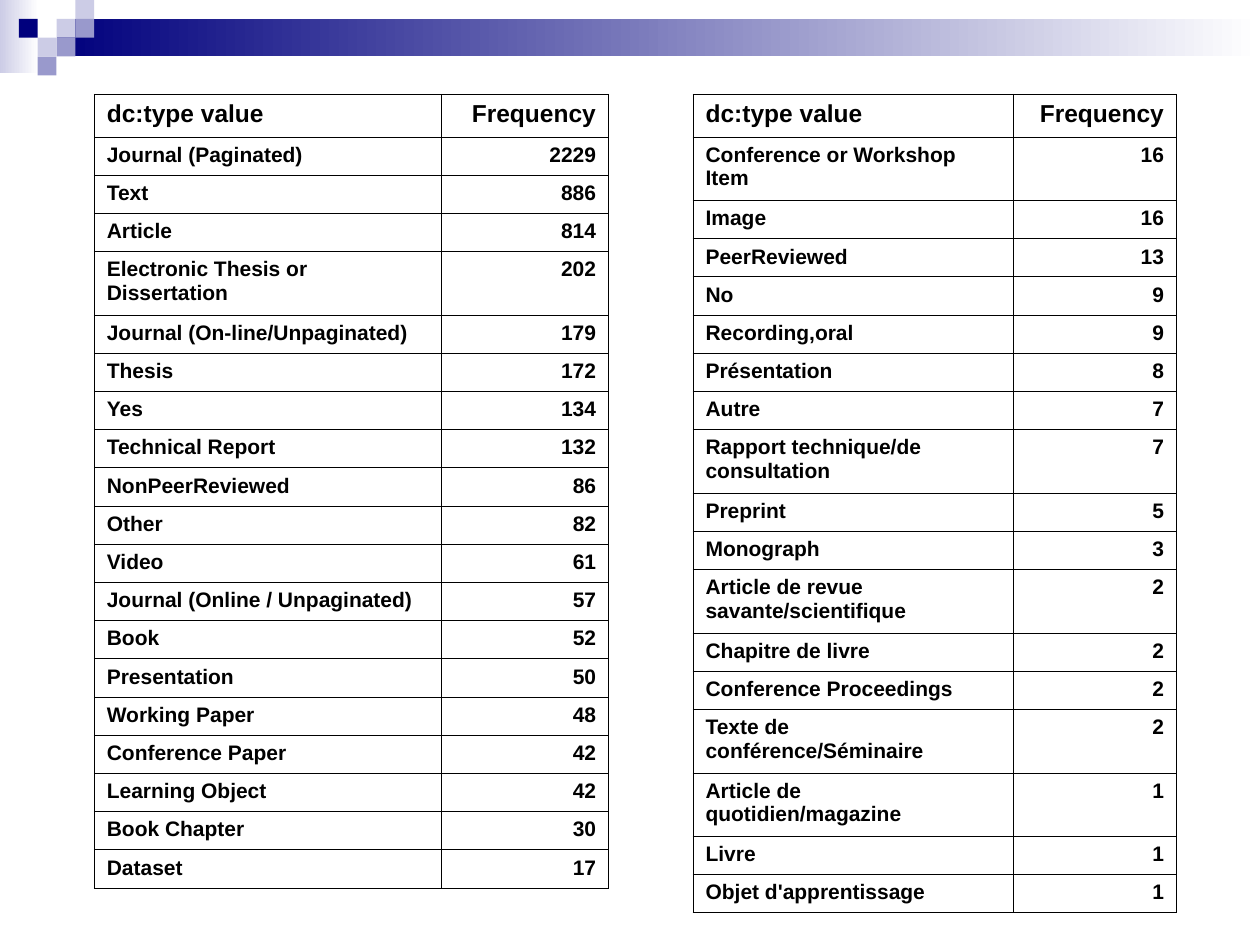
from lxml import etree
from pptx import Presentation
from pptx.dml.color import RGBColor
from pptx.enum.shapes import MSO_SHAPE
from pptx.enum.text import PP_ALIGN
from pptx.oxml.ns import qn
from pptx.util import Cm, Pt

RECTANGLE = MSO_SHAPE.RECTANGLE
LEFT, RIGHT = PP_ALIGN.LEFT, PP_ALIGN.RIGHT

BLACK = RGBColor(0x00, 0x00, 0x00)
WHITE = RGBColor(0xFF, 0xFF, 0xFF)
NAVY = RGBColor(0x00, 0x00, 0x7D)
LAVENDER = RGBColor(0x99, 0x99, 0xCC)
PALE = RGBColor(0xCC, 0xCC, 0xE6)

FONT = "Arial"
BORDER_WIDTH = Pt(0.45)
HEADER_HEIGHT, LINE_HEIGHT, WRAPPED_HEIGHT = Cm(0.86), Cm(0.77), Cm(1.28)

HEADINGS = ("dc:type value", "Frequency")
FREQUENT_TYPES = [
    ("Journal (Paginated)", 2229),
    ("Text", 886),
    ("Article", 814),
    ("Electronic Thesis or Dissertation", 202),
    ("Journal (On-line/Unpaginated)", 179),
    ("Thesis", 172),
    ("Yes", 134),
    ("Technical Report", 132),
    ("NonPeerReviewed", 86),
    ("Other", 82),
    ("Video", 61),
    ("Journal (Online / Unpaginated)", 57),
    ("Book", 52),
    ("Presentation", 50),
    ("Working Paper", 48),
    ("Conference Paper", 42),
    ("Learning Object", 42),
    ("Book Chapter", 30),
    ("Dataset", 17),
]
RARE_TYPES = [
    ("Conference or Workshop Item", 16),
    ("Image", 16),
    ("PeerReviewed", 13),
    ("No", 9),
    ("Recording,oral", 9),
    ("Présentation", 8),
    ("Autre", 7),
    ("Rapport technique/de consultation", 7),
    ("Preprint", 5),
    ("Monograph", 3),
    ("Article de revue savante/scientifique", 2),
    ("Chapitre de livre", 2),
    ("Conference Proceedings", 2),
    ("Texte de conférence/Séminaire", 2),
    ("Article de quotidien/magazine", 1),
    ("Livre", 1),
    ("Objet d'apprentissage", 1),
]


def add_block(slide, left, top, width, height, color, fade=False):
    """Add a borderless rectangle, optionally fading to white on the right."""
    block = slide.shapes.add_shape(RECTANGLE, left, top, width, height)
    block.shadow.inherit = False
    block.line.fill.background()
    if fade:
        block.fill.gradient()
        block.fill.gradient_angle = 180
        for stop, stop_color in zip(block.fill.gradient_stops, (WHITE, color)):
            stop.color.rgb = stop_color
    else:
        block.fill.solid()
        block.fill.fore_color.rgb = color


def add_banner(slide, left, top, width):
    unit = Cm(0.38)
    add_block(slide, left, top, Cm(0.78), Cm(1.47), PALE, fade=True)
    add_block(slide, left + 3 * unit, top + unit, width - 3 * unit, 2 * unit,
              NAVY, fade=True)
    mosaic = [  # column, row, colour
        (3, 1, PALE), (4, 0, PALE), (4, 1, LAVENDER), (2, 2, PALE),
        (1, 1, NAVY), (3, 2, LAVENDER), (2, 3, LAVENDER),
    ]
    for column, row, color in mosaic:
        add_block(slide, left + column * unit, top + row * unit, unit, unit, color)


def draw_borders(cell):
    properties = cell._tc.get_or_add_tcPr()
    for position, side in enumerate(("a:lnL", "a:lnR", "a:lnT", "a:lnB")):
        border = etree.Element(qn(side), w=str(BORDER_WIDTH))
        fill = etree.SubElement(border, qn("a:solidFill"))
        etree.SubElement(fill, qn("a:srgbClr"), val=str(BLACK))
        properties.insert(position, border)


def fill_cell(cell, content, size, alignment):
    cell.text = str(content)
    cell.fill.background()
    paragraph = cell.text_frame.paragraphs[0]
    paragraph.alignment = alignment
    font = paragraph.font
    font.name, font.size, font.bold = FONT, Pt(size), True
    font.color.rgb = BLACK
    draw_borders(cell)


def add_frequency_table(slide, left, top, column_widths, counts, line_length):
    """Add a table; labels longer than line_length characters get two lines."""
    heights = [HEADER_HEIGHT] + [
        WRAPPED_HEIGHT if len(label) > line_length else LINE_HEIGHT
        for label, _ in counts
    ]
    table = slide.shapes.add_table(len(heights), len(HEADINGS), left, top,
                                   sum(column_widths), sum(heights)).table
    table.first_row = table.horz_banding = False
    for column, width in zip(table.columns, column_widths):
        column.width = width
    for index, entry in enumerate([HEADINGS, *counts]):
        table.rows[index].height = heights[index]
        size = 12 if index else 14
        for cell, content, alignment in zip(table.rows[index].cells, entry,
                                            (LEFT, RIGHT)):
            fill_cell(cell, content, size, alignment)


def main():
    presentation = Presentation()
    presentation.slide_width, presentation.slide_height = Cm(25.4), Cm(19.05)
    slide = presentation.slides.add_slide(presentation.slide_layouts[6])
    add_banner(slide, 0, 0, presentation.slide_width)
    table_top = Cm(1.9)
    add_frequency_table(slide, Cm(1.9), table_top, (Cm(6.99), Cm(3.38)),
                        FREQUENT_TYPES, line_length=30)
    add_frequency_table(slide, Cm(13.97), table_top, (Cm(6.45), Cm(3.3)),
                        RARE_TYPES, line_length=25)
    presentation.save("out.pptx")


if __name__ == "__main__":
    main()
